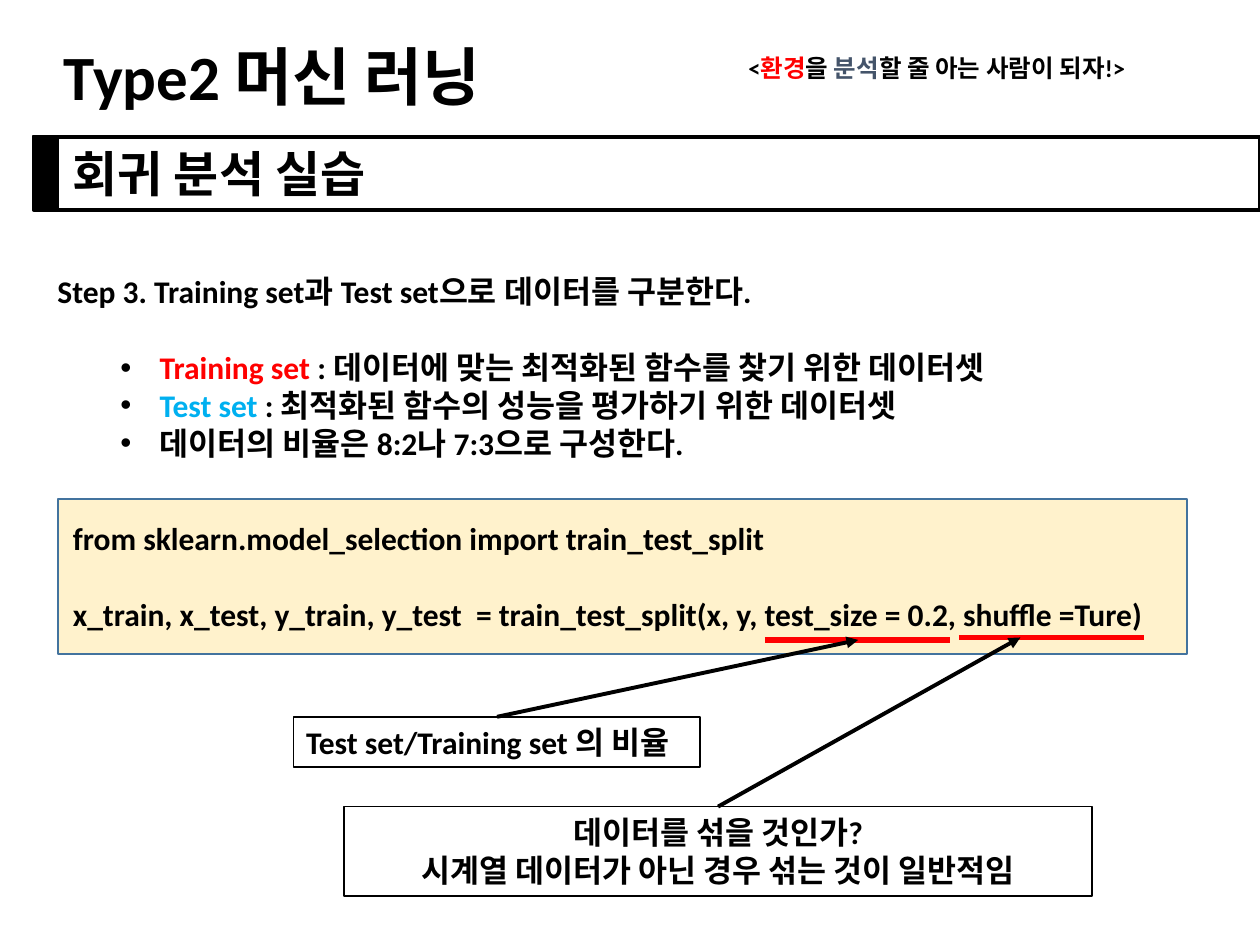
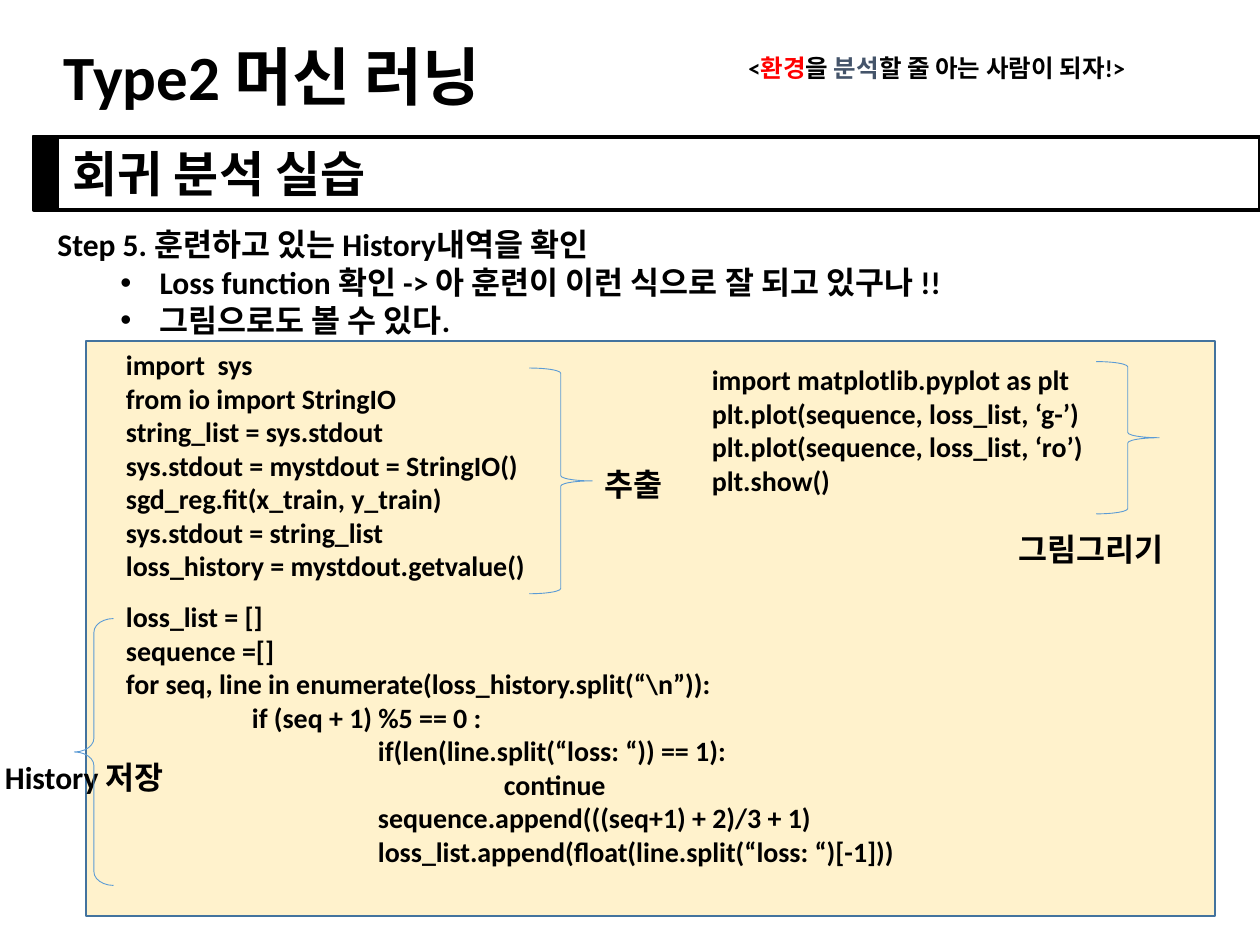
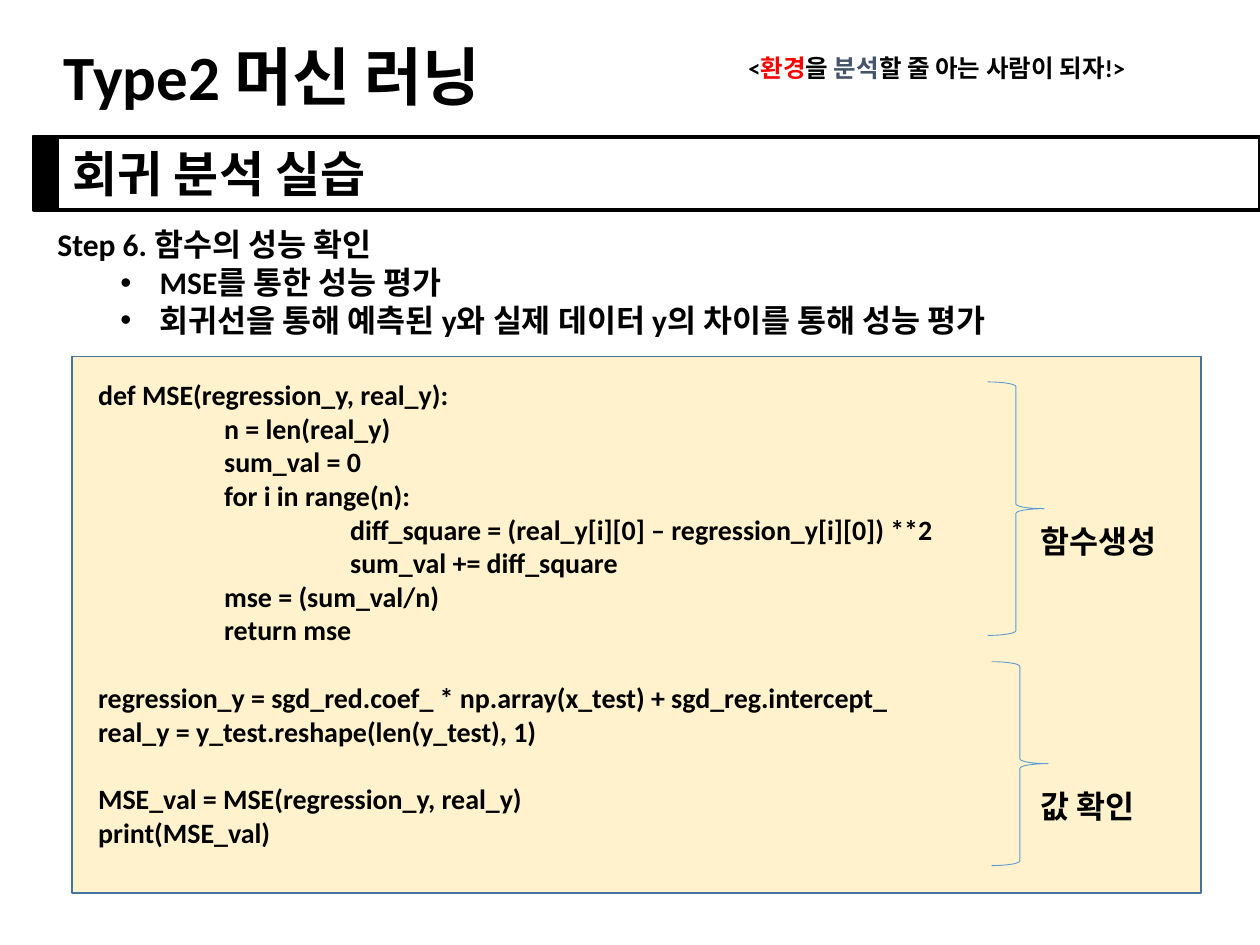
from dataclasses import dataclass
from typing import NamedTuple

import lxml.etree
import pptx
import pptx.dml.color
import pptx.enum.shapes
import pptx.enum.text
import pptx.oxml.ns
import pptx.presentation
import pptx.shapes.autoshape
import pptx.shapes.connector
import pptx.slide
import pptx.text.text
import pptx.util

Cm = pptx.util.Cm
Pt = pptx.util.Pt
Slide = pptx.slide.Slide
Shape = pptx.shapes.autoshape.Shape
Connector = pptx.shapes.connector.Connector
SHAPES = pptx.enum.shapes.MSO_SHAPE
LEFT = pptx.enum.text.PP_ALIGN.LEFT
CENTER = pptx.enum.text.PP_ALIGN.CENTER
qn = pptx.oxml.ns.qn

COLORS = {
    "text": "000000",
    "red": "FF0000",
    "blue": "00B0F0",
    "slate": "44546A",
    "panel": "FFF2CC",
    "panel_line": "43739E",
    "brace": "5B9BD5",
    "white": "FFFFFF",
}
FONT = "Calibri"
BODY_SIZE = 18
CODE_SIZE = 16
CODE_INDENT = 2.54
BULLET_MARGIN = 2.06
BULLET_HANGING = 0.79
LABEL_HEIGHT = 1.02
PANEL_WIDTH = 22.76


class Box(NamedTuple):
    left: float
    top: float
    width: float
    height: float


class Point(NamedTuple):
    x: float
    y: float


class Span(NamedTuple):
    text: str
    color: str = "text"


@dataclass(frozen=True)
class Line:
    spans: tuple[Span, ...]
    depth: int = 0
    bullet: bool = False
    space_before: float = 0


@dataclass(frozen=True)
class TextBlock:
    box: Box
    lines: tuple[Line, ...]
    size: float = BODY_SIZE
    align: pptx.enum.text.PP_ALIGN = LEFT


@dataclass(frozen=True)
class Brace:
    box: Box
    opens_left: bool = False
    curve: float = 0.0833


def plain(text: str, depth: int = 0, space_before: float = 0) -> Line:
    return Line((Span(text),), depth, False, space_before)


def bullet(*spans: Span, space_before: float = 0) -> Line:
    return Line(spans, 0, True, space_before)


def label(left: float, top: float, width: float, text: str) -> TextBlock:
    return TextBlock(Box(left, top, width, LABEL_HEIGHT), (plain(text),))


def code(box: Box, *lines: Line) -> TextBlock:
    return TextBlock(box, lines, CODE_SIZE)


def steps(*lines: Line) -> TextBlock:
    return TextBlock(Box(0.91, 4.42, 23.01, 2.57), lines)


def rgb(name: str) -> pptx.dml.color.RGBColor:
    return pptx.dml.color.RGBColor.from_string(COLORS[name])


def add_bullet(paragraph: pptx.text.text._Paragraph) -> None:
    properties = paragraph._p.get_or_add_pPr()
    properties.set("marL", str(Cm(BULLET_MARGIN)))
    properties.set("indent", str(-Cm(BULLET_HANGING)))
    color = lxml.etree.SubElement(properties, qn("a:buClr"))
    lxml.etree.SubElement(color, qn("a:srgbClr"), val=COLORS["text"])
    lxml.etree.SubElement(properties, qn("a:buFont"), typeface="Arial")
    lxml.etree.SubElement(properties, qn("a:buChar"), char="•")


def write_lines(
    frame: pptx.text.text.TextFrame,
    lines: tuple[Line, ...],
    size: float,
    align: pptx.enum.text.PP_ALIGN,
) -> None:
    frame.word_wrap = True
    frame.text = "\n".join("" for _ in lines)
    for paragraph, line in zip(frame.paragraphs, lines):
        paragraph.alignment = align
        if line.space_before:
            paragraph.space_before = Pt(line.space_before)
        if line.depth:
            margin = Cm(CODE_INDENT * line.depth)
            paragraph._p.get_or_add_pPr().set("marL", str(margin))
        if line.bullet:
            add_bullet(paragraph)
        for span in line.spans:
            run = paragraph.add_run()
            run.text = span.text
            run.font.name = FONT
            run.font.size = Pt(size)
            run.font.bold = True
            run.font.color.rgb = rgb(span.color)


def add_text(slide: Slide, block: TextBlock) -> None:
    shape = slide.shapes.add_textbox(*map(Cm, block.box))
    write_lines(shape.text_frame, block.lines, block.size, block.align)
    shape.text_frame.auto_size = pptx.enum.text.MSO_AUTO_SIZE.SHAPE_TO_FIT_TEXT


def add_shape(
    slide: Slide,
    box: Box,
    fill: str | None,
    line: str,
    weight: float = 1,
    kind: pptx.enum.shapes.MSO_SHAPE = SHAPES.RECTANGLE,
) -> Shape:
    shape = slide.shapes.add_shape(kind, *map(Cm, box))
    shape.shadow.inherit = False
    if fill:
        shape.fill.solid()
        shape.fill.fore_color.rgb = rgb(fill)
    else:
        shape.fill.background()
    shape.line.color.rgb = rgb(line)
    shape.line.width = Pt(weight)
    return shape


def add_panel(slide: Slide, left: float, top: float, height: float) -> None:
    add_shape(slide, Box(left, top, PANEL_WIDTH, height), "panel", "panel_line")


def add_brace(slide: Slide, brace: Brace) -> None:
    shape = add_shape(slide, brace.box, None, "brace", 0.5, SHAPES.RIGHT_BRACE)
    shape.adjustments[0] = brace.curve
    if brace.opens_left:
        shape.element.spPr.get_or_add_xfrm().set("flipH", "1")


def add_callout(slide: Slide, block: TextBlock) -> Shape:
    shape = add_shape(slide, block.box, "white", "text")
    write_lines(shape.text_frame, block.lines, block.size, block.align)
    return shape


def add_line(
    slide: Slide, start: Point, end: Point, color: str, weight: float
) -> Connector:
    connector = slide.shapes.add_connector(
        pptx.enum.shapes.MSO_CONNECTOR.STRAIGHT, *map(Cm, start + end)
    )
    connector.line.color.rgb = rgb(color)
    connector.line.width = Pt(weight)
    lxml.etree.SubElement(connector.element.spPr, qn("a:effectLst"))
    return connector


def add_arrow(slide: Slide, source: Shape, end: Point) -> None:
    connector = add_line(slide, Point(0, 0), end, "text", 2.25)
    connector.begin_connect(source, 0)
    outline = connector.line._get_or_add_ln()
    lxml.etree.SubElement(outline, qn("a:tailEnd"), type="triangle")


HEADER = (
    TextBlock(
        Box(11.38, 0.94, 15.01, 0.86),
        (
            Line((
                Span("<"),
                Span("환경", "red"),
                Span("을 "),
                Span("분석", "slate"),
                Span("할 줄 아는 사람이 되자!>"),
            )),
        ),
        14,
        CENTER,
    ),
    TextBlock(Box(-1.19, 0.64, 13.36, 1.8), (plain("Type2 머신 러닝"),), 36, CENTER),
    TextBlock(Box(1.22, 2.77, 15.72, 1.45), (plain("회귀 분석 실습"),), 28),
)


def add_lesson_slide(presentation: pptx.presentation.Presentation) -> Slide:
    slide = presentation.slides.add_slide(presentation.slide_layouts[6])
    for block in HEADER:
        add_text(slide, block)
    add_shape(slide, Box(0.66, 2.74, 0.51, 1.5), "text", "text")
    add_shape(slide, Box(0.69, 2.77, 24.71, 1.47), None, "text", 2.25)
    return slide


def build_split_slide(presentation: pptx.presentation.Presentation) -> None:
    slide = add_lesson_slide(presentation)
    add_panel(slide, 1.17, 10.06, 3.12)
    add_text(slide, TextBlock(Box(0.91, 5.36, 23.01, 4.11), (
        plain("Step 3. Training set과 Test set으로 데이터를 구분한다."),
        bullet(
            Span("Training set ", "red"),
            Span(": 데이터에 맞는 최적화된 함수를 찾기 위한 데이터셋"),
            space_before=22,
        ),
        bullet(
            Span("Test set ", "blue"),
            Span(": 최적화된 함수의 성능을 평가하기 위한 데이터셋"),
        ),
        bullet(Span("데이터의 비율은 8:2나 7:3으로 구성한다.")),
    )))
    add_text(slide, TextBlock(Box(1.22, 10.34, 24.18, 2.57), (
        plain("from sklearn.model_selection import train_test_split"),
        plain(
            "x_train, x_test, y_train, y_test  = "
            "train_test_split(x, y, test_size = 0.2, shuffle =Ture)",
            space_before=22,
        ),
    )))
    for start in (Point(15.42, 12.9), Point(19.33, 12.85)):
        add_line(slide, start, Point(start.x + 3.73, start.y), "red", 3)
    ratio = add_callout(slide, label(5.92, 14.45, 8.2, "Test set/Training set 의 비율"))
    shuffle = add_callout(slide, TextBlock(
        Box(6.93, 16.26, 15.09, 1.8),
        (
            plain("데이터를 섞을 것인가?"),
            plain("시계열 데이터가 아닌 경우 섞는 것이 일반적임"),
        ),
        align=CENTER,
    ))
    add_arrow(slide, ratio, Point(17.3, 12.9))
    add_arrow(slide, shuffle, Point(20.57, 12.85))


def build_history_slide(presentation: pptx.presentation.Presentation) -> None:
    slide = add_lesson_slide(presentation)
    add_text(slide, steps(
        plain("Step 5. 훈련하고 있는 History내역을 확인"),
        bullet(Span("Loss function 확인 -> 아 훈련이 이런 식으로 잘 되고 있구나 !!")),
        bullet(Span("그림으로도 볼 수 있다.")),
    ))
    add_panel(slide, 1.73, 6.88, 11.58)
    for block in (
        code(
            Box(2.29, 6.88, 10.13, 6.4),
            plain("import  sys"),
            plain("from io import StringIO"),
            plain("string_list = sys.stdout"),
            plain("sys.stdout = mystdout = StringIO()"),
            plain("sgd_reg.fit(x_train, y_train)"),
            plain("sys.stdout = string_list"),
            plain("loss_history = mystdout.getvalue()"),
        ),
        code(
            Box(2.29, 11.96, 17.02, 6.4),
            plain("loss_list = []"),
            plain("sequence =[]"),
            plain("for seq, line in enumerate(loss_history.split(“\\n”)):"),
            plain("if (seq + 1) %5 == 0 :", 1),
            plain("if(len(line.split(“loss: “)) == 1):", 2),
            plain("continue", 3),
            plain("sequence.append(((seq+1) + 2)/3 + 1)", 2),
            plain("loss_list.append(float(line.split(“loss: “)[-1]))", 2),
        ),
        code(
            Box(14.1, 7.19, 10.13, 3),
            plain("import matplotlib.pyplot as plt"),
            plain("plt.plot(sequence, loss_list, ‘g-’)"),
            plain("plt.plot(sequence, loss_list, ‘ro’)"),
            plain("plt.show()"),
        ),
        label(11.94, 9.25, 2.34, "추출"),
        label(-0.15, 15.16, 4.09, "History 저장"),
        label(20.29, 10.57, 4.09, "그림그리기"),
    ):
        add_text(slide, block)
    for brace in (
        Brace(Box(10.67, 7.42, 1.27, 4.55)),
        Brace(Box(1.5, 12.47, 0.79, 5.38), True, 0.35),
        Brace(Box(22.1, 7.29, 1.27, 3.07)),
    ):
        add_brace(slide, brace)


def build_evaluation_slide(presentation: pptx.presentation.Presentation) -> None:
    slide = add_lesson_slide(presentation)
    add_text(slide, steps(
        plain("Step 6. 함수의 성능 확인"),
        bullet(Span("MSE를 통한 성능 평가")),
        bullet(Span("회귀선을 통해 예측된 y와 실제 데이터 y의 차이를 통해 성능 평가")),
    ))
    add_panel(slide, 1.45, 7.19, 10.82)
    for block in (
        code(
            Box(1.73, 7.49, 17.45, 9.83),
            plain("def MSE(regression_y, real_y):"),
            plain("n = len(real_y)", 1),
            plain("sum_val = 0", 1),
            plain("for i in range(n):", 1),
            plain("diff_square = (real_y[i][0] – regression_y[i][0]) **2", 2),
            plain("sum_val += diff_square", 2),
            plain("mse = (sum_val/n)", 1),
            plain("return mse", 1),
            plain(
                "regression_y = sgd_red.coef_ * np.array(x_test) + sgd_reg.intercept_",
                space_before=19.5,
            ),
            plain("real_y = y_test.reshape(len(y_test), 1)"),
            plain("MSE_val = MSE(regression_y, real_y)", space_before=19.5),
            plain("print(MSE_val)"),
        ),
        label(20.73, 10.39, 3.78, "함수생성"),
        label(20.73, 15.75, 3.78, "값 확인"),
    ):
        add_text(slide, block)
    for box in (Box(19.91, 7.7, 1.14, 5.11), Box(19.99, 13.34, 1.14, 4.11)):
        add_brace(slide, Brace(box))


def main() -> None:
    presentation = pptx.Presentation()
    presentation.slide_width = Cm(25.4)
    presentation.slide_height = Cm(19.05)
    build_split_slide(presentation)
    build_history_slide(presentation)
    build_evaluation_slide(presentation)
    presentation.save("out.pptx")


if __name__ == "__main__":
    main()
